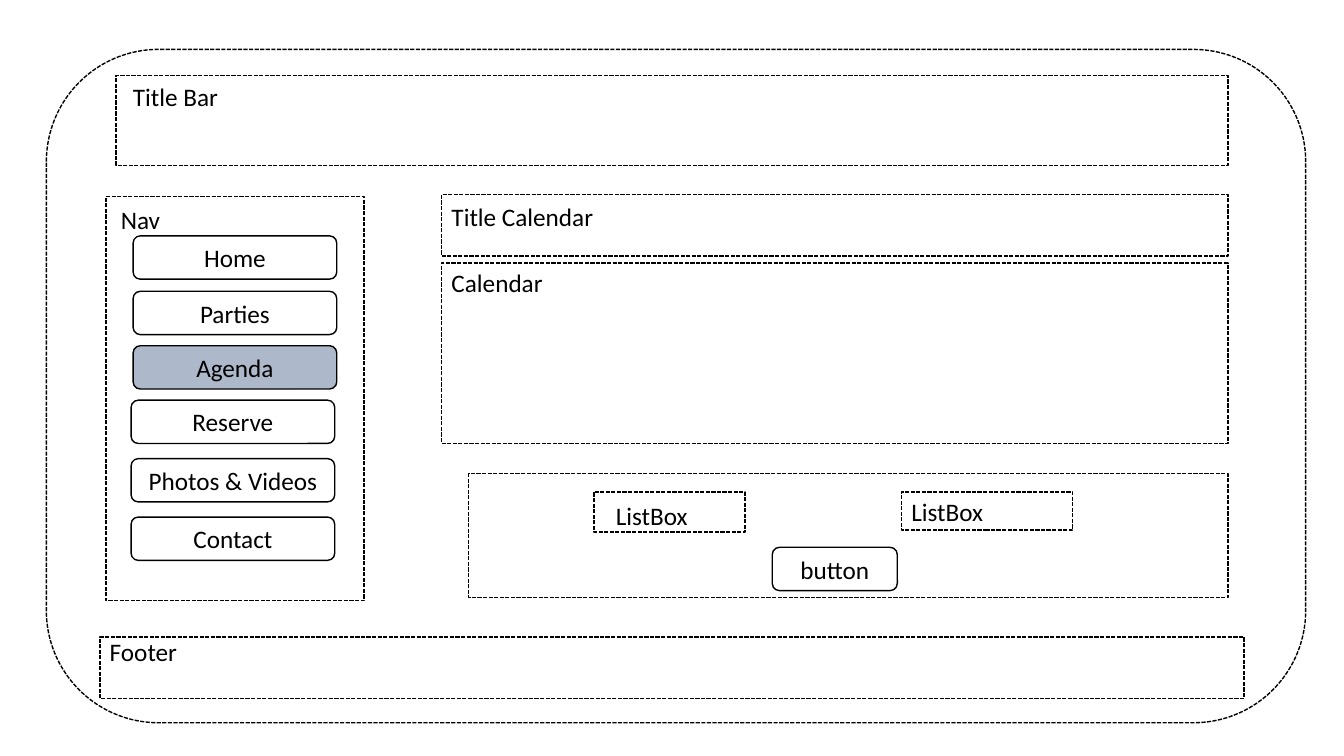
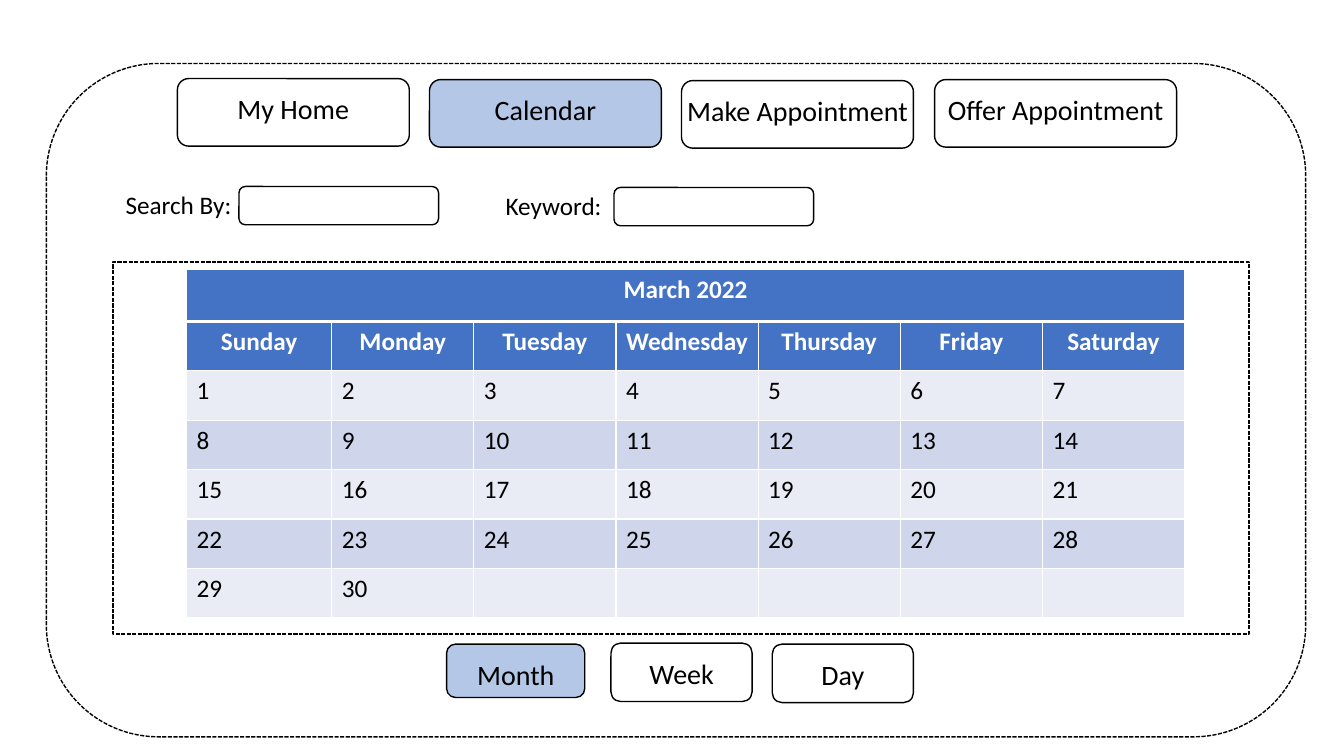
from pptx import Presentation
from pptx.dml.color import RGBColor
from pptx.enum.dml import MSO_LINE
from pptx.enum.shapes import MSO_SHAPE
from pptx.enum.text import MSO_ANCHOR, MSO_AUTO_SIZE, PP_ALIGN
from pptx.oxml.ns import qn
from pptx.util import Inches, Pt
from lxml.etree import SubElement

BLACK = RGBColor(0x00, 0x00, 0x00)
WHITE = RGBColor(0xFF, 0xFF, 0xFF)
NAV_ACTIVE = RGBColor(0xAD, 0xB9, 0xCA)
TAB_ACTIVE = RGBColor(0xB4, 0xC7, 0xE7)
HEADER_BLUE = RGBColor(0x44, 0x72, 0xC4)
BAND_LIGHT = RGBColor(0xE9, 0xEB, 0xF5)
BAND_DARK = RGBColor(0xCF, 0xD5, 0xEA)

BOX, ROUNDED = MSO_SHAPE.RECTANGLE, MSO_SHAPE.ROUNDED_RECTANGLE
LEFT, CENTER = PP_ALIGN.LEFT, PP_ALIGN.CENTER


class Wireframe:
    """Wireframe style plus the slide being drawn."""
    font = "Calibri"
    label_height = 0.4

    def __init__(self):
        self.presentation = Presentation()
        self.presentation.slide_width = Inches(13.33)
        self.presentation.slide_height = Inches(7.5)
        self.slide = None

    def new_page(self, frame_top):
        layout = self.presentation.slide_layouts[6]
        self.slide = self.presentation.slides.add_slide(layout)
        self.outline(0.46, frame_top, 12.49, 6.68, kind=ROUNDED, fill=None, dashed=True)

    def add_text(self, frame, text, size=18, align=LEFT, color=BLACK, bold=False):
        paragraph = frame.paragraphs[0]
        paragraph.alignment = align
        run = paragraph.add_run()
        run.text = text
        run.font.name = self.font
        run.font.size = Pt(size)
        run.font.bold = bold
        run.font.color.rgb = color

    def outline(self, left, top, width, height, kind=BOX, fill=WHITE, dashed=False, parent=None):
        shapes = (parent or self.slide).shapes
        shape = shapes.add_shape(kind, Inches(left), Inches(top), Inches(width), Inches(height))
        shape.shadow.inherit = False
        if fill is None:
            shape.fill.background()
        else:
            shape.fill.solid()
            shape.fill.fore_color.rgb = fill
        shape.line.color.rgb = BLACK
        shape.line.width = Pt(1)
        if dashed:
            shape.line.dash_style = MSO_LINE.SQUARE_DOT
        return shape

    def region(self, left, top, width, height):
        return self.outline(left, top, width, height, dashed=True)

    def label(self, text, left, top, width, height=label_height, size=18, align=LEFT, parent=None):
        shapes = (parent or self.slide).shapes
        box = shapes.add_textbox(Inches(left), Inches(top), Inches(width), Inches(height))
        box.text_frame.word_wrap = True
        box.text_frame.auto_size = MSO_AUTO_SIZE.SHAPE_TO_FIT_TEXT
        self.add_text(box.text_frame, text, size, align)

    def button(self, text, left, top, width, fill=None):
        shape = self.outline(left, top, width, 0.43, ROUNDED, fill)
        shape.text_frame.word_wrap = True
        shape.text_frame.vertical_anchor = MSO_ANCHOR.MIDDLE
        self.add_text(shape.text_frame, text, align=CENTER)

    def tab(self, text, left, top, width, height, text_width, active=False):
        """Group of a rounded outline and a label centred across it."""
        group = self.slide.shapes.add_group_shape()
        fill = TAB_ACTIVE if active else None
        self.outline(left, top, width, height, ROUNDED, fill, parent=group)
        text_left = left + (width - text_width) / 2
        self.label(text, text_left, top + 0.08, text_width, 0.44, 20, CENTER, group)

    def field(self, text, left, top):
        self.outline(left + 1.25, top + 0.02, 1.98, 0.38, ROUNDED)
        self.label(text, left, top, 1.3, align=CENTER)

    def cell(self, cell, text, fill, align=LEFT, color=BLACK, bold=False, top=1, bottom=1):
        properties = cell._tc.get_or_add_tcPr()
        for side, width in (("L", 1), ("R", 1), ("T", top), ("B", bottom)):
            line = SubElement(properties, qn("a:ln" + side), w=str(Pt(width)))
            solid = SubElement(line, qn("a:solidFill"))
            SubElement(solid, qn("a:srgbClr"), val=str(WHITE))
        cell.fill.solid()
        cell.fill.fore_color.rgb = fill
        if text:
            self.add_text(cell.text_frame, text, align=align, color=color, bold=bold)

    def month_table(self, title, weekdays, day_count, left, top):
        columns = len(weekdays)
        weeks = -(-day_count // columns)
        table = self.slide.shapes.add_table(
            weeks + 2, columns, Inches(left), Inches(top), Inches(9.9), Inches(3.46)).table
        for index, column in enumerate(table.columns):
            column.width = Inches(1.41 if index else 1.44)
        for index, row in enumerate(table.rows):
            row.height = Inches(0.49 if index else 0.52)

        # Month title and weekday names
        heading = {"fill": HEADER_BLUE, "align": CENTER, "color": WHITE, "bold": True}
        for index, weekday in enumerate(weekdays):
            self.cell(table.cell(0, index), "" if index else title, bottom=3, **heading)
            self.cell(table.cell(1, index), weekday, top=3, **heading)
        table.cell(0, 0).merge(table.cell(0, columns - 1))

        # Days in banded weeks
        for index in range(weeks * columns):
            week, weekday = divmod(index, columns)
            text = str(index + 1) if index < day_count else ""
            fill = BAND_DARK if week % 2 else BAND_LIGHT
            self.cell(table.cell(week + 2, weekday), text, fill)


wireframe = Wireframe()

# Slide 1: page layout
wireframe.new_page(0.49)
for region in (
    (1.05, 1.95, 2.56, 4.01),   # navigation
    (1.15, 0.75, 11.03, 0.89),  # title bar
    (4.38, 2.61, 7.8, 1.79),    # calendar
    (4.65, 4.7, 7.53, 1.23),    # filters
    (0.99, 6.32, 11.35, 0.61),  # footer
    (4.38, 1.93, 7.8, 0.61),    # calendar title
    (5.89, 4.88, 1.5, 0.4),     # left list box
    (8.94, 4.88, 1.7, 0.38),    # right list box
):
    wireframe.region(*region)

for text, left, top, width in (
    ("Nav", 1.1, 1.98, 0.86),
    ("Title Bar", 1.22, 0.76, 1.27),
    ("Calendar", 4.38, 2.6, 1.27),
    ("Footer", 0.99, 6.26, 1.27),
    ("Title Calendar", 4.38, 1.95, 1.67),
    ("ListBox", 6.01, 4.91, 1.27),
    ("ListBox", 8.94, 4.87, 1.27),
):
    wireframe.label(text, left, top, width)

for text, left, top, fill in (
    ("Home", 1.32, 2.34, WHITE),
    ("Parties", 1.32, 2.89, None),
    ("Agenda", 1.32, 3.43, NAV_ACTIVE),
    ("Reserve", 1.3, 3.97, None),
    ("Photos & Videos", 1.3, 4.55, None),
    ("Contact", 1.3, 5.13, None),
):
    wireframe.button(text, left, top, 2.02, fill)
wireframe.button("button", 7.66, 5.43, 1.24, WHITE)

# Slide 2: calendar page
wireframe.new_page(0.63)
wireframe.region(1.12, 2.6, 11.27, 3.69)

for text, left, top, width, height, text_width, active in (
    ("My Home", 1.76, 0.78, 2.3, 0.67, 2.1, False),
    ("Calendar", 4.26, 0.79, 2.3, 0.67, 2.1, True),
    ("Make Appointment", 6.76, 0.8, 2.3, 0.67, 2.48, False),
    ("Offer Appointment", 9.27, 0.79, 2.4, 0.67, 2.4, False),
    ("Month", 4.43, 6.39, 1.37, 0.53, 1.25, True),
    ("Week", 6.06, 6.38, 1.4, 0.58, 1.28, False),
    ("Day", 7.66, 6.39, 1.4, 0.58, 1.28, False),
):
    wireframe.tab(text, left, top, width, height, text_width, active)

wireframe.field("Search By:", 1.12, 1.83)
wireframe.field("Keyword:", 4.84, 1.84)

WEEKDAYS = ("Sunday", "Monday", "Tuesday", "Wednesday", "Thursday", "Friday", "Saturday")
wireframe.month_table("March 2022", WEEKDAYS, 30, 1.85, 2.67)

wireframe.presentation.save("out.pptx")
